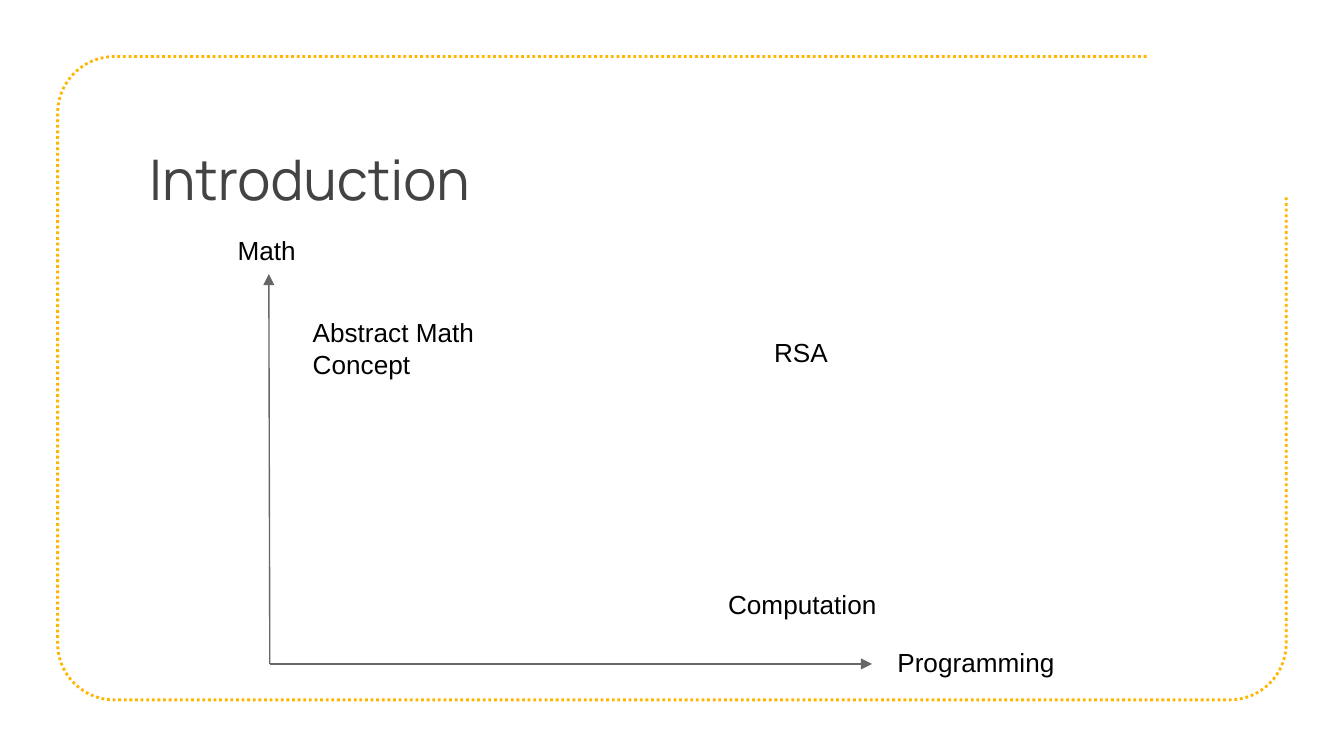
from math import cos, pi, sin

from pptx import Presentation
from pptx.dml.color import RGBColor
from pptx.enum.dml import MSO_LINE
from pptx.enum.shapes import MSO_CONNECTOR
from pptx.enum.text import MSO_ANCHOR
from pptx.oxml.ns import qn
from pptx.util import Cm, Pt
from lxml import etree

AMBER = RGBColor(0xFF, 0xB6, 0x00)
DARK = RGBColor(0x43, 0x43, 0x43)
GRAY = RGBColor(0x66, 0x66, 0x66)
BLACK = RGBColor(0, 0, 0)
DOT = MSO_LINE.ROUND_DOT
STRAIGHT = MSO_CONNECTOR.STRAIGHT
TOP = MSO_ANCHOR.TOP

HEAD = {"name": "Manrope", "size": Pt(30)}
BODY = {"name": "Arial", "size": Pt(14)}
INSETS = ("margin_left", "margin_top", "margin_right", "margin_bottom")
FRAME = {"word_wrap": True, "vertical_anchor": TOP,
         **dict.fromkeys(INSETS, Cm(0.25))}


def assign(item, values):
    for key, value in values.items():
        setattr(item, key, value)


def add_text(slide, text, box, font, color):
    frame = slide.shapes.add_textbox(*map(Cm, box)).text_frame
    assign(frame, FRAME)
    run = frame.paragraphs[0].add_run()
    run.text = text
    assign(run.font, font)
    run.font.color.rgb = color


def add_arrow(slide, start, end):
    arrow = slide.shapes.add_connector(STRAIGHT, *map(Cm, start + end))
    arrow.line.color.rgb = GRAY
    arrow.line.width = Pt(0.75)
    tip = etree.SubElement(arrow.line._get_or_add_ln(), qn("a:tailEnd"))
    tip.set("type", "triangle")
    etree.SubElement(arrow._element.spPr, qn("a:effectLst"))


def add_border(slide, box, radius=1.07, steps=16):
    """Dotted rounded border, left open at the top right corner."""
    left, top, width, height = box
    right, bottom = left + width, top + height
    # Corner centres with the angle at which each arc starts
    corners = [(left + radius, top + radius, 1.5 * pi),
               (left + radius, bottom - radius, pi),
               (right - radius, bottom - radius, pi / 2)]
    points = [(x + radius * cos(start - i * pi / 2 / steps),
               y + radius * sin(start - i * pi / 2 / steps))
              for x, y, start in corners for i in range(steps + 1)]
    points.append((right, top + 2.64))
    path = slide.shapes.build_freeform(Cm(right - 2.64), Cm(top))
    path.add_line_segments([(Cm(x), Cm(y)) for x, y in points], close=False)
    border = path.convert_to_shape()
    border.shadow.inherit = False
    border.fill.background()
    border.line.color.rgb = AMBER
    assign(border.line, {"width": Pt(1.5), "dash_style": DOT})


def add_chart_area(slide, box):
    """Two axes with their names, and topics placed between them."""
    left, top, width, height = box
    base = top + height
    # Axes
    add_arrow(slide, (left + 0.02, base), (left, top))
    add_arrow(slide, (left + 0.02, base), (left + width, base))
    # Labels: offset from the top left of the axes, then size
    labels = [("Math", -0.84, -0.99, 2.24, 2.26),
              ("Programming", 11.63, 6.78, 4.24, 2.26),
              ("Abstract Math Concept", 0.58, 0.56, 3.6, 2.24),
              ("Computation", 8.43, 5.69, 5, 1.2),
              ("RSA", 9.3, 0.92, 2.51, 1.22)]
    for text, x, y, wide, high in labels:
        add_text(slide, text, (left + x, top + y, wide, high), BODY, BLACK)


def main():
    deck = Presentation()
    assign(deck, {"slide_width": Cm(25.4), "slide_height": Cm(14.29)})
    slide = deck.slides.add_slide(deck.slide_layouts[6])
    add_border(slide, (1.09, 1.07, 23.22, 12.16))
    add_text(slide, "Introduction", (2.57, 2.49, 19.08, 2.39), HEAD, DARK)
    add_chart_area(slide, (5.08, 5.18, 11.4, 7.37))
    deck.save("out.pptx")


if __name__ == "__main__":
    main()
